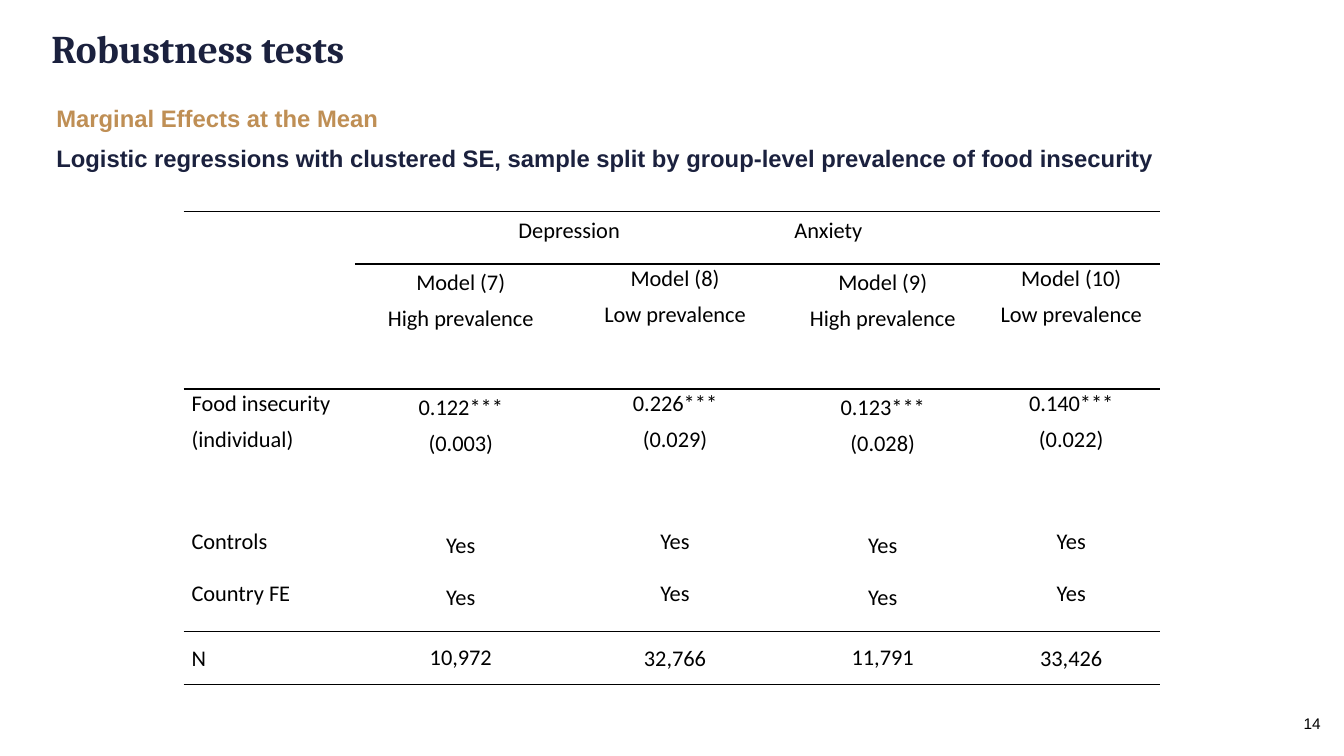
"""Build the robustness tests slide with its regression table."""
import pptx
import pptx.util
import pptx.dml.color
import pptx.enum.shapes
import pptx.enum.text
import pptx.oxml.ns
import lxml.etree

Inches = pptx.util.Inches
Pt = pptx.util.Pt
ALIGN = pptx.enum.text.PP_ALIGN
ANCHOR = pptx.enum.text.MSO_ANCHOR

COLORS = {"navy": "1B213E", "gold": "BF8F55", "black": "000000", "white": "FFFFFF"}
TITLE = "Robustness tests"
SUBTITLES = [
    ("Marginal Effects at the Mean", "gold"),
    ("Logistic regressions with clustered SE, sample split by group-level "
     "prevalence of food insecurity", "navy"),
]
PAGE_NUMBER = "14"
ROWS = [
    ["", "Depression", "", "Anxiety", ""],
    ["", "Model (7)\nHigh prevalence", "Model (8)\nLow prevalence",
     "Model (9)\nHigh prevalence", "Model (10)\nLow prevalence"],
    ["Food insecurity\n(individual)", "0.122***\n(0.003)", "0.226***\n(0.029)",
     "0.123***\n(0.028)", "0.140***\n(0.022)"],
    ["Controls", "Yes", "Yes", "Yes", "Yes"],
    ["Country FE", "Yes", "Yes", "Yes", "Yes"],
    ["N", "10,972", "32,766", "11,791", "33,426"],
]
COLUMN_WIDTHS = [1.7, 2.1, 2.15, 1.97, 1.77]
ROW_HEIGHTS = [0.52, 1.24, 1.37, 0.52, 0.52, 0.52]
RULE_FIRST_COLUMN = {0: 0, 1: 1, 2: 0, 5: 0, 6: 0}
WIDE_MARGINS = (0.11, 0.05, 0.11, 0.05)
NARROW_MARGINS = (0.08, 0.01, 0.08, 0)


def rgb(name):
    return pptx.dml.color.RGBColor.from_string(COLORS[name])


def format_paragraph(paragraph, size, font_name, color, bold=False):
    for run in paragraph.runs:
        run.font.size = Pt(size)
        run.font.name = font_name
        run.font.bold = bold
        run.font.color.rgb = rgb(color)


def set_margins(frame, margins):
    (frame.margin_left, frame.margin_top,
     frame.margin_right, frame.margin_bottom) = map(Inches, margins)


def add_text_box(slide, place, anchor):
    frame = slide.shapes.add_textbox(*map(Inches, place)).text_frame
    frame.word_wrap = True
    frame.vertical_anchor = anchor
    return frame


def add_border(cell, side, ruled):
    qn = pptx.oxml.ns.qn
    line = lxml.etree.SubElement(cell._tc.get_or_add_tcPr(), qn("a:ln" + side))
    line.set("w", str(Pt(1)))
    if ruled:
        fill = lxml.etree.SubElement(line, qn("a:solidFill"))
        lxml.etree.SubElement(fill, qn("a:srgbClr")).set("val", COLORS["black"])
    else:
        lxml.etree.SubElement(line, qn("a:noFill"))


def has_rule(edge, column):
    return edge in RULE_FIRST_COLUMN and column >= RULE_FIRST_COLUMN[edge]


def fill_cell(cell, text, row, column):
    set_margins(cell, WIDE_MARGINS if row == 0 or column in (1, 3) else NARROW_MARGINS)
    cell.vertical_anchor = ANCHOR.MIDDLE if row == len(ROWS) - 1 else ANCHOR.TOP
    if text:
        cell.text_frame.text = text
    left_aligned = column == 0 or text == "Anxiety"
    for paragraph in cell.text_frame.paragraphs:
        paragraph.alignment = ALIGN.LEFT if left_aligned else ALIGN.CENTER
        paragraph.space_before = Pt(6 if row else 0)
        format_paragraph(paragraph, 16, "Calibri", "black")
    for side, ruled in (("L", False), ("R", False),
                        ("T", has_rule(row, column)), ("B", has_rule(row + 1, column))):
        add_border(cell, side, ruled)
    cell.fill.background()


def add_results_table(slide):
    table = slide.shapes.add_table(
        len(ROWS), len(COLUMN_WIDTHS), Inches(1.82), Inches(2.1),
        Inches(sum(COLUMN_WIDTHS)), Inches(sum(ROW_HEIGHTS))).table
    table.first_row = False
    table.horz_banding = False
    for column, width in zip(table.columns, COLUMN_WIDTHS):
        column.width = Inches(width)
    for row, height in zip(table.rows, ROW_HEIGHTS):
        row.height = Inches(height)
    for start in (1, 3):
        table.cell(0, start).merge(table.cell(0, start + 1))
    for row, texts in enumerate(ROWS):
        for column, text in enumerate(texts):
            fill_cell(table.cell(row, column), text, row, column)


def add_page_number(slide):
    shape = slide.shapes.add_shape(
        pptx.enum.shapes.MSO_SHAPE.RECTANGLE, *map(Inches, (12.79, 6.95, 0.45, 0.46)))
    shape.shadow.inherit = False
    shape.fill.solid()
    shape.fill.fore_color.rgb = rgb("white")
    shape.line.fill.background()
    frame = shape.text_frame
    set_margins(frame, (0, 0, 0, 0))
    frame.vertical_anchor = ANCHOR.MIDDLE
    frame.text = PAGE_NUMBER
    frame.paragraphs[0].alignment = ALIGN.CENTER
    format_paragraph(frame.paragraphs[0], 11, "Arial", "black")


def main():
    presentation = pptx.Presentation()
    presentation.slide_width = Inches(13.33)
    presentation.slide_height = Inches(7.5)
    slide = presentation.slides.add_slide(presentation.slide_layouts[6])

    add_page_number(slide)

    title = add_text_box(slide, (0.51, 0.24, 11.42, 1.1), ANCHOR.TOP)
    set_margins(title, (0, 0, 0, 0))
    title.text = TITLE
    format_paragraph(title.paragraphs[0], 28, "Cambria", "navy", True)

    subtitle = add_text_box(slide, (0.46, 1, 12.41, 0.78), ANCHOR.MIDDLE)
    subtitle.text = "\n".join(text for text, color in SUBTITLES)
    for paragraph, (text, color) in zip(subtitle.paragraphs, SUBTITLES):
        paragraph.line_spacing = 0.9
        paragraph.space_before = Pt(10)
        format_paragraph(paragraph, 17, "Arial", color, True)

    add_results_table(slide)
    presentation.save("out.pptx")


if __name__ == "__main__":
    main()
